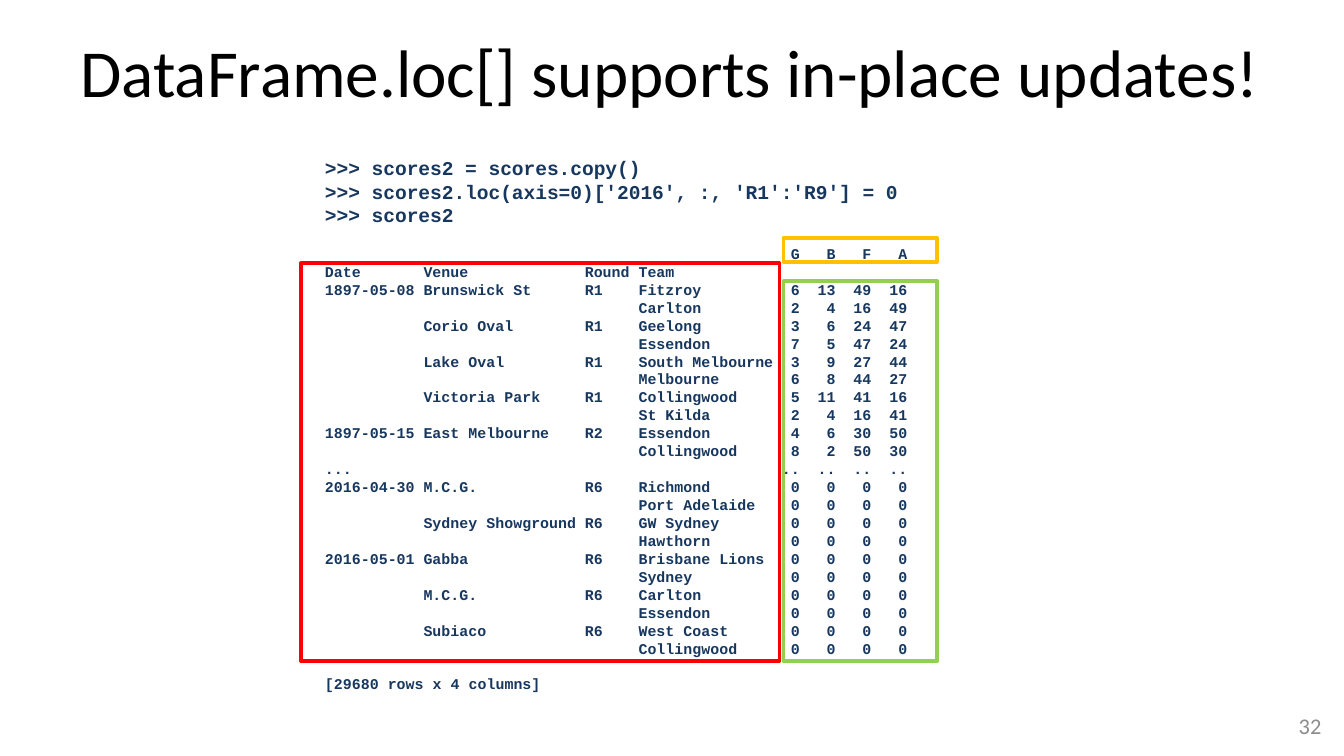
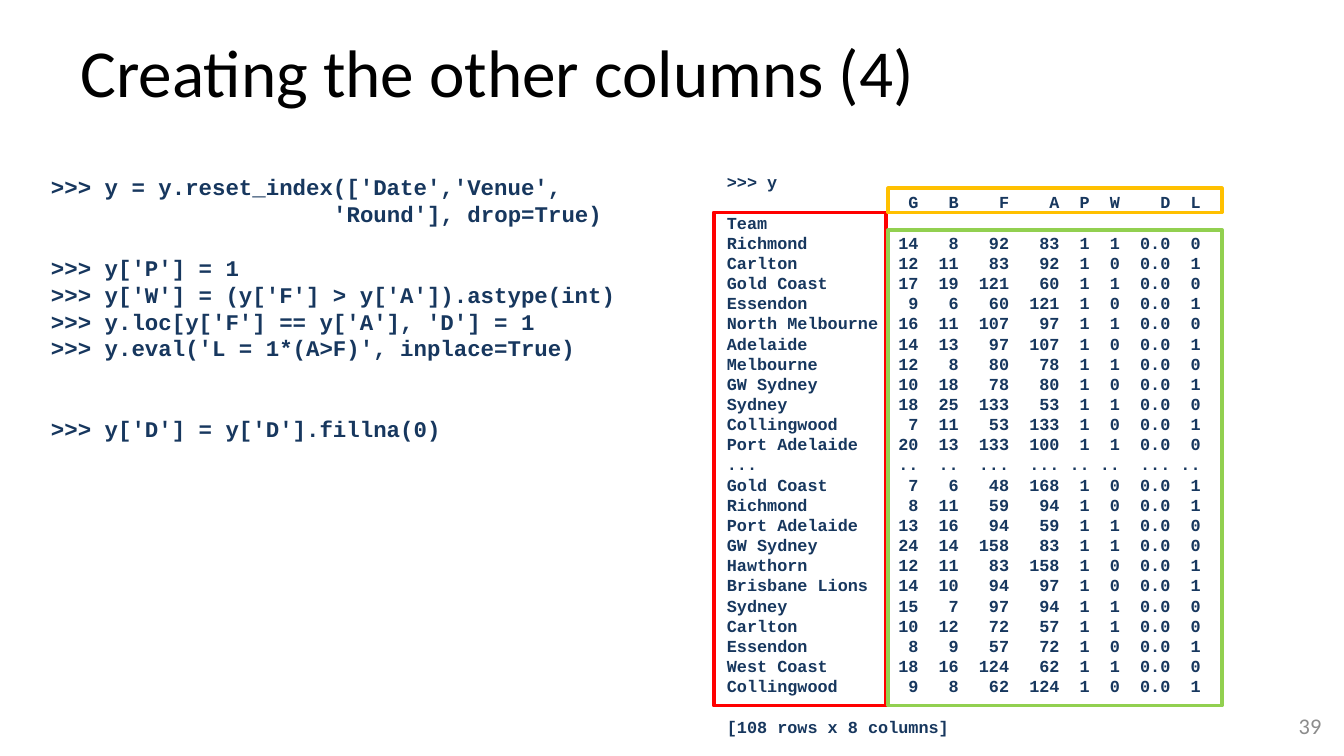
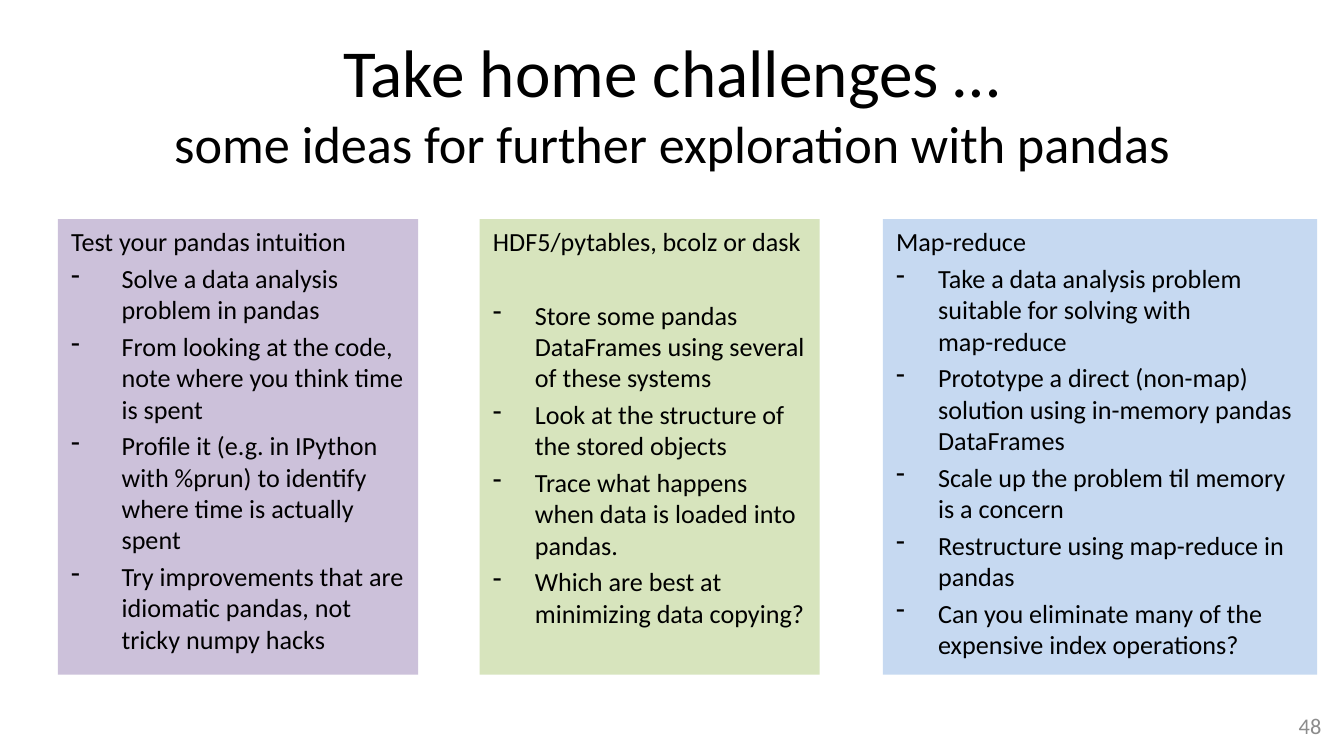
import pptx
import pptx.util
import pptx.dml.color
import pptx.enum.shapes
import pptx.enum.text
import pptx.oxml.ns
from lxml import etree

Pt = pptx.util.Pt
ALIGN = pptx.enum.text.PP_ALIGN
RECT = pptx.enum.shapes.MSO_SHAPE.RECTANGLE
COLORS = {
    "text": "000000", "code": "17375E", "page": "8C8C8C", "white": "FFFFFF",
    "index": "FF0000", "header": "FFC000", "values": "92D050",
    "purple": "CCC1DA", "green": "D7E4BD", "blue": "C6D9F1",
}
LINE = 1.2
CHAR = 0.6
rgb = {name: pptx.dml.color.RGBColor.from_string(hue) for name, hue in COLORS.items()}


def add_box(slide, area, fill=None, edge=None):
    shape = slide.shapes.add_shape(RECT, *[Pt(n) for n in area])
    shape.shadow.inherit = False
    if fill:
        shape.fill.solid()
        shape.fill.fore_color.rgb = rgb[fill]
    else:
        shape.fill.background()
    if edge:
        shape.line.color.rgb = rgb[edge]
        shape.line.width = Pt(2)
    else:
        shape.line.fill.background()
    frame = shape.text_frame
    frame.word_wrap = True
    frame.vertical_anchor = pptx.enum.text.MSO_ANCHOR.TOP
    return frame


def add_par(frame, runs, color="text", font="Calibri", gap=0, align=ALIGN.LEFT, stops=()):
    par = frame.paragraphs[0]
    if par.runs:
        par = frame.add_paragraph()
    par.alignment = align
    par.space_before = Pt(gap)
    if len(runs) == 1:
        par.line_spacing = Pt(runs[0][1] * LINE)
    for text, size in runs:
        for num, part in enumerate(text.split("\n")):
            if num:
                par.add_line_break()
            if part:
                run = par.add_run()
                run.text = part
                run.font.size = Pt(size)
                run.font.name = font
                run.font.bold = font == "Courier New"
                run.font.color.rgb = rgb[color]
    if stops:
        tabs = etree.SubElement(par._p.get_or_add_pPr(), pptx.oxml.ns.qn("a:tabLst"))
        for col, side in stops:
            tab = etree.SubElement(tabs, pptx.oxml.ns.qn("a:tab"))
            tab.set("pos", str(Pt(col * CHAR * runs[0][1])))
            tab.set("algn", side)
    return par


scores = """|||| G|B|F|A
Date|Venue|Round|Team
1897-05-08|Brunswick St|R1|Fitzroy|6|13|49|16
|||Carlton|2|4|16|49
|Corio Oval|R1|Geelong|3|6|24|47
|||Essendon|7|5|47|24
|Lake Oval|R1|South Melbourne|3|9|27|44
|||Melbourne|6|8|44|27
|Victoria Park|R1|Collingwood|5|11|41|16
|||St Kilda|2|4|16|41
1897-05-15|East Melbourne|R2|Essendon|4|6|30|50
|||Collingwood|8|2|50|30
...||||..|..|..|..
2016-04-30|M.C.G.|R6|Richmond|0|0|0|0
|||Port Adelaide|0|0|0|0
|Sydney Showground|R6|GW Sydney|0|0|0|0
|||Hawthorn|0|0|0|0
2016-05-01|Gabba|R6|Brisbane Lions|0|0|0|0
|||Sydney|0|0|0|0
|M.C.G.|R6|Carlton|0|0|0|0
|||Essendon|0|0|0|0
|Subiaco|R6|West Coast|0|0|0|0
|||Collingwood|0|0|0|0""".replace("| G", "|G").split("\n")

games = """>>> y
|G|B|F|A|P|W|D|L
Team
Richmond|14|8|92|83|1|1|0.0|0
Carlton|12|11|83|92|1|0|0.0|1
Gold Coast|17|19|121|60|1|1|0.0|0
Essendon|9|6|60|121|1|0|0.0|1
North Melbourne|16|11|107|97|1|1|0.0|0
Adelaide|14|13|97|107|1|0|0.0|1
Melbourne|12|8|80|78|1|1|0.0|0
GW Sydney|10|18|78|80|1|0|0.0|1
Sydney|18|25|133|53|1|1|0.0|0
Collingwood|7|11|53|133|1|0|0.0|1
Port Adelaide|20|13|133|100|1|1|0.0|0
...|..|..|...|...|..|..|...|..
Gold Coast|7|6|48|168|1|0|0.0|1
Richmond|8|11|59|94|1|0|0.0|1
Port Adelaide|13|16|94|59|1|1|0.0|0
GW Sydney|24|14|158|83|1|1|0.0|0
Hawthorn|12|11|83|158|1|0|0.0|1
Brisbane Lions|14|10|94|97|1|0|0.0|1
Sydney|15|7|97|94|1|1|0.0|0
Carlton|10|12|72|57|1|1|0.0|0
Essendon|8|9|57|72|1|0|0.0|1
West Coast|18|16|124|62|1|1|0.0|0
Collingwood|9|8|62|124|1|0|0.0|1""".split("\n")

score_tabs = [(n, "l") for n in (11, 29, 35)] + [(n, "r") for n in (53, 57, 61, 65)]
game_tabs = [(n, "r") for n in (19, 23, 28, 33, 36, 39, 44, 47)]

copy_code = [
    (">>> scores2 = scores.copy()", 0),
    (">>> scores2.loc(axis=0)['2016', :, 'R1':'R9'] = 0", 0),
    (">>> scores2", 0),
]
column_code = [
    (">>> y = y.reset_index(['Date','Venue',", 0),
    ("|'Round'], drop=True)", 0),
    (">>> y['P'] = 1", 1),
    (">>> y['W'] = (y['F'] > y['A']).astype(int)", 0),
    (">>> y.loc[y['F'] == y['A'], 'D'] = 1", 0),
    (">>> y.eval('L = 1*(A>F)', inplace=True)", 0),
    (">>> y['D'] = y['D'].fillna(0)", 2),
]
score_rows = [(row, int(num == 0)) for num, row in enumerate(scores)]
score_rows.append(("[29680 rows x 4 columns]", 1))
game_rows = [(row, 0) for row in games] + [("[108 rows x 8 columns]", 1)]

pages = [
    {
        "number": "32",
        "title": [("DataFrame.loc[] supports in-place updates!", 36)],
        "code": [((167, 80, 402.5, 296), "white",
                  [(copy_code, 10.5, ()), (score_rows, 8, score_tabs)])],
        "marks": [("index", (161.3, 141.1, 256.3, 213.1)),
                  ("header", (419.8, 127.4, 82.1, 13)),
                  ("values", (419.8, 150.5, 82.1, 203.8))],
    },
    {
        "number": "39",
        "title": [("Creating the other columns (4)", 36)],
        "code": [((20.2, 89.3, 339.8, 152.6), None, [(column_code, 12, [(21, "l")])]),
                 ((382.3, 88.6, 334.8, 312.5), None, [(game_rows, 9, game_tabs)])],
        "marks": [("index", (382.3, 113.8, 92.2, 264.2)),
                  ("header", (475.9, 100.8, 178.6, 13)),
                  ("values", (475.9, 123.1, 178.6, 254.9))],
    },
    {
        "number": "48",
        "title": [("Take home challenges …\n", 36),
                  ("some ideas for further exploration with pandas", 28)],
        "align": ALIGN.CENTER,
        "cards": [
            ("blue", 473, 232.6, 22.5, 0, "Map-reduce", [
                "Take a data analysis problem suitable for solving with \nmap-reduce",
                "Prototype a direct (non-map) solution using in-memory pandas DataFrames",
                "Scale up the problem til memory is a concern",
                "Restructure using map-reduce in pandas",
                "Can you eliminate many of the expensive index operations?"]),
            ("green", 257, 182.2, 22.5, 1, "HDF5/pytables, bcolz or dask", [
                "Store some pandas DataFrames using several of these systems",
                "Look at the structure of the stored objects",
                "Trace what happens when data is loaded into pandas.",
                "Which are best at minimizing data copying?"]),
            ("purple", 31, 193, 27, 0, "Test your pandas intuition", [
                "Solve a data analysis problem in pandas",
                "From looking at the code, note where you think time is spent",
                "Profile it (e.g. in IPython with %prun) to identify where time is actually spent",
                "Try improvements that are idiomatic pandas, not tricky numpy hacks"]),
        ],
    },
]

deck = pptx.Presentation()
deck.slide_width, deck.slide_height = Pt(720), Pt(405)

for page in pages:
    slide = deck.slides.add_slide(deck.slide_layouts[6])

    title = add_box(slide, (36, 10.8, 648, 46.8))
    title.margin_top = Pt(5.6)
    add_par(title, page["title"], align=page.get("align", ALIGN.LEFT))

    for area, fill, blocks in page.get("code", []):
        frame = add_box(slide, area, fill)
        for rows, size, stops in blocks:
            for row, skip in rows:
                add_par(frame, [(row.replace("|", "\t"), size)], "code", "Courier New",
                        skip * size * LINE, stops=stops if "|" in row else ())

    for name, area in page.get("marks", []):
        add_box(slide, area, edge=name)

    for fill, left, width, indent, skip, head, items in page.get("cards", []):
        frame = add_box(slide, (left, 117.4, width, 244), fill)
        add_par(frame, [(head, 14)])
        for num, item in enumerate(items):
            gap = 2.8
            if num == 0:
                gap += skip * (14 * LINE + 2.8)
            props = add_par(frame, [(item, 14)], gap=gap)._p.get_or_add_pPr()
            props.set("marL", str(Pt(indent)))
            props.set("indent", str(-Pt(indent)))
            etree.SubElement(props, pptx.oxml.ns.qn("a:buChar")).set("char", "-")

    foot = add_box(slide, (547.2, 378, 167.8, 21.6))
    foot.vertical_anchor = pptx.enum.text.MSO_ANCHOR.MIDDLE
    add_par(foot, [(page["number"], 12)], "page", align=ALIGN.RIGHT)

deck.save("out.pptx")
